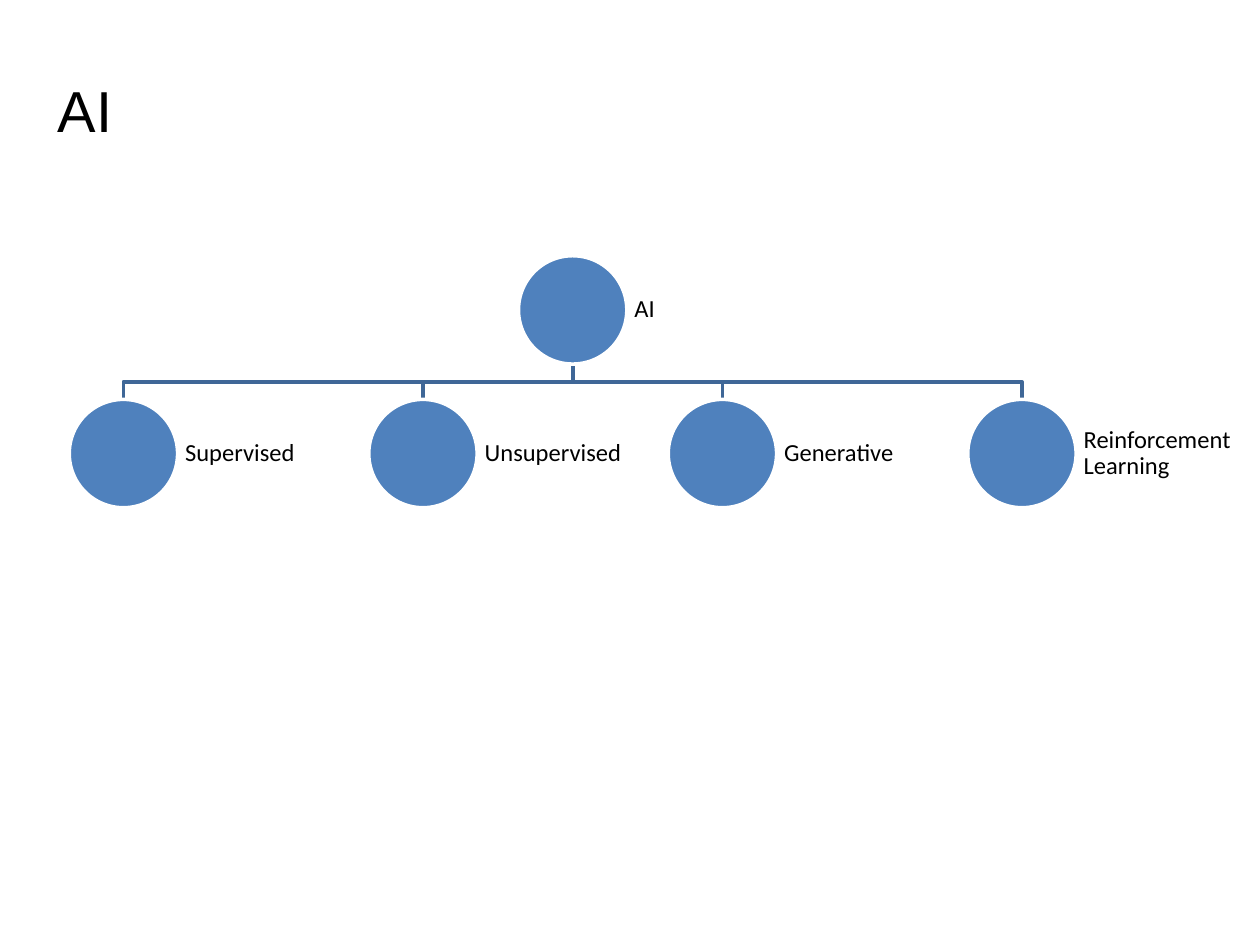
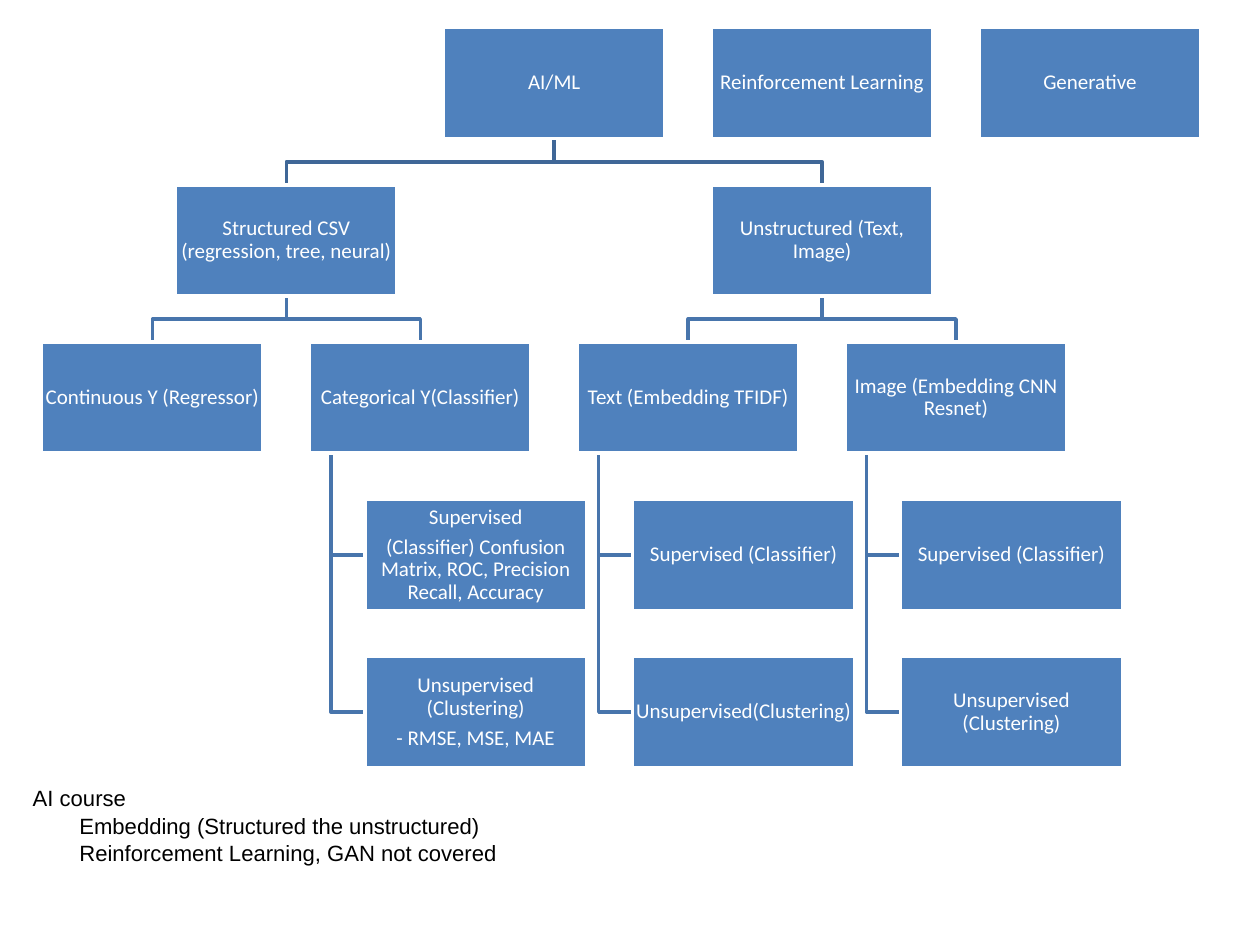
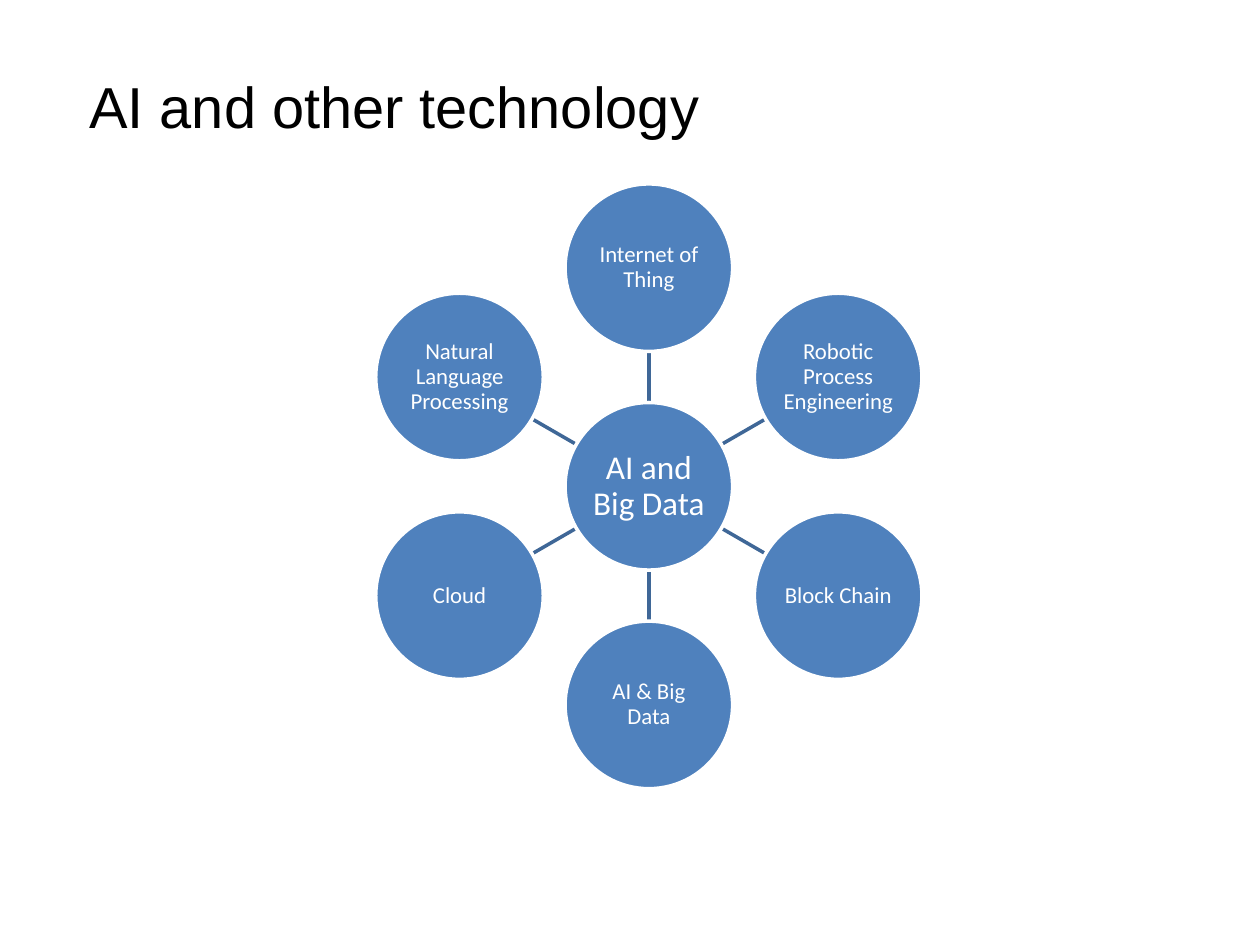
from math import cos, radians, sin

from pptx import Presentation
from pptx.dml.color import RGBColor
from pptx.enum.shapes import MSO_CONNECTOR, MSO_SHAPE
from pptx.enum.text import MSO_ANCHOR, MSO_AUTO_SIZE, PP_ALIGN
from pptx.oxml.ns import qn
from pptx.util import Inches, Pt
from lxml.etree import SubElement

BLUE = RGBColor(0x4F, 0x81, 0xBD)
DARK_LINE = RGBColor(0x3F, 0x67, 0x97)
MID_LINE = RGBColor(0x48, 0x75, 0xAC)
WHITE = RGBColor(0xFF, 0xFF, 0xFF)
BLACK = RGBColor(0, 0, 0)
TITLE_FONT, DIAGRAM_FONT = "Arial", "Calibri"
LINE_WIDTH = Pt(2)
TITLE_SIZE = 33

AI_BRANCHES = ["Supervised", "Unsupervised", "Generative", "Reinforcement Learning"]

# Each node is a label and its children; a label may hold several paragraphs.
COURSE_TREE = ("AI/ML", [
    ("Structured CSV (regression, tree, neural)", [
        ("Continuous Y (Regressor)", []),
        ("Categorical Y(Classifier)", [
            ("Supervised\n(Classifier) Confusion Matrix, ROC, Precision Recall, Accuracy", []),
            ("Unsupervised (Clustering)\n- RMSE, MSE, MAE", []),
        ]),
    ]),
    ("Unstructured (Text, Image)", [
        ("Text (Embedding TFIDF)", [
            ("Supervised (Classifier)", []),
            ("Unsupervised(Clustering)", []),
        ]),
        ("Image (Embedding CNN Resnet)", [
            ("Supervised (Classifier)", []),
            ("Unsupervised (Clustering)", []),
        ]),
    ]),
])
SEPARATE_TOPICS = ["Reinforcement Learning", "Generative"]
COURSE_NOTES = ["AI course", "Embedding (Structured the unstructured)",
                "Reinforcement Learning, GAN not covered"]

HUB = "AI and Big Data"
TECHNOLOGIES = ["Internet of Thing", "Robotic Process Engineering", "Block Chain",
                "AI & Big Data", "Cloud", "Natural Language Processing"]


def inches(*values):
    return [Inches(value) for value in values]


def style_paragraph(paragraph, font_name, size, color, align):
    paragraph.alignment = align
    paragraph.font.name = font_name
    paragraph.font.size = Pt(size)
    paragraph.font.color.rgb = color


def add_title_slide(presentation, lines, box, size=TITLE_SIZE):
    """Add a title-only slide; title lines after the first are indented."""
    slide = presentation.slides.add_slide(presentation.slide_layouts[5])
    title = slide.shapes.title
    title.left, title.top, title.width, title.height = inches(*box)
    frame = title.text_frame
    frame.text = "\n".join(lines)
    frame.auto_size = MSO_AUTO_SIZE.NONE
    frame.vertical_anchor = MSO_ANCHOR.MIDDLE
    for index, paragraph in enumerate(frame.paragraphs):
        if index:
            paragraph._p.get_or_add_pPr().set("marL", str(Inches(0.37)))
        if len(lines) > 1:
            paragraph.line_spacing = 1.05
        style_paragraph(paragraph, TITLE_FONT, size, BLACK, PP_ALIGN.LEFT)
    return slide


def write_label(shape, text, size, color=WHITE, align=PP_ALIGN.CENTER, inset=0.01):
    frame = shape.text_frame
    frame.word_wrap = True
    frame.vertical_anchor = MSO_ANCHOR.MIDDLE
    frame.margin_left = frame.margin_right = Inches(inset)
    frame.margin_top = frame.margin_bottom = Inches(inset)
    frame.text = text
    for index, paragraph in enumerate(frame.paragraphs):
        paragraph.line_spacing = 0.9
        if index:
            paragraph.space_before = Pt(size * 0.35)
        style_paragraph(paragraph, DIAGRAM_FONT, size, color, align)


def add_node(slide, kind, left, top, width, height):
    node = slide.shapes.add_shape(kind, *inches(left, top, width, height))
    node.shadow.inherit = False
    node.fill.solid()
    node.fill.fore_color.rgb = BLUE
    node.line.color.rgb = WHITE
    node.line.width = LINE_WIDTH
    return node


def add_branch(slide, points, color):
    start, *rest = [inches(*point) for point in points]
    builder = slide.shapes.build_freeform(*start)
    builder.add_line_segments(rest, close=False)
    branch = builder.convert_to_shape()
    branch.shadow.inherit = False
    branch.fill.background()
    branch.line.color.rgb = color
    branch.line.width = LINE_WIDTH


def elbow(start_x, start_y, end_x, end_y):
    middle = (start_y + end_y) / 2
    return [(start_x, start_y), (start_x, middle), (end_x, middle), (end_x, end_y)]


def add_spoke(slide, start, end):
    spoke = slide.shapes.add_connector(MSO_CONNECTOR.STRAIGHT, *inches(*start, *end))
    spoke.line.color.rgb = DARK_LINE
    spoke.line.width = LINE_WIDTH
    SubElement(spoke._element.spPr, qn("a:effectLst"))


def build_ai_slide(presentation):
    slide = add_title_slide(presentation, ["AI"], (0.36, 0.24, 9, 1.25))
    diameter, root_top, child_top = 0.86, 2.03, 3.17
    first_left, step = 0.55, 2.377
    lefts = [first_left + step * index for index in range(len(AI_BRANCHES))]
    root_left = (lefts[0] + lefts[-1]) / 2
    radius = diameter / 2
    for left in lefts:
        add_branch(slide, elbow(root_left + radius, root_top + diameter,
                                left + radius, child_top), DARK_LINE)
    nodes = [("AI", root_left, root_top)]
    nodes += [(text, left, child_top) for text, left in zip(AI_BRANCHES, lefts)]
    for text, left, top in nodes:
        add_node(slide, MSO_SHAPE.OVAL, left, top, diameter, diameter)
        label = slide.shapes.add_textbox(*inches(left + diameter, top, 1.3, diameter))
        write_label(label, text, 14, BLACK, PP_ALIGN.LEFT, 0.06)


def build_course_slide(presentation):
    slide = add_title_slide(presentation, COURSE_NOTES, (0.16, 6.18, 5.24, 0.73), 12.6)
    width, height = 1.76, 0.88
    first_left, first_top = 0.33, 0.22
    column_step, row_step = 2.126, 1.248
    trunk_inset, hanging_indent = 0.17, 0.44
    hanging_depth = 2
    boxes, branches = [], []
    columns_used = 0

    def row_top(row):
        return first_top + row * row_step

    def place(node, depth):
        """Lay out a node below its depth's row and return its left edge."""
        nonlocal columns_used
        text, children = node
        bottom = row_top(depth) + height
        if depth < hanging_depth:
            child_lefts = [place(child, depth + 1) for child in children]
            left = (child_lefts[0] + child_lefts[-1]) / 2
            color = MID_LINE if depth else DARK_LINE
            for child_left in child_lefts:
                points = elbow(left + width / 2, bottom,
                               child_left + width / 2, row_top(depth + 1))
                branches.append((points, color))
        else:
            left = first_left + columns_used * column_step
            columns_used += 1
            trunk, child_left = left + trunk_inset, left + hanging_indent
            for row, (child_text, _) in enumerate(children, depth + 1):
                middle = row_top(row) + height / 2
                points = [(trunk, bottom), (trunk, middle), (child_left, middle)]
                branches.append((points, MID_LINE))
                boxes.append((child_text, child_left, row_top(row)))
        boxes.append((text, left, row_top(depth)))
        return left

    root_left = place(COURSE_TREE, 0)
    for index, topic in enumerate(SEPARATE_TOPICS, 1):
        boxes.append((topic, root_left + index * column_step, first_top))
    for points, color in branches:
        add_branch(slide, points, color)
    for text, left, top in boxes:
        write_label(add_node(slide, MSO_SHAPE.RECTANGLE, left, top, width, height), text, 12)


def build_technology_slide(presentation):
    slide = add_title_slide(presentation, ["AI and other technology"], (0.61, 0.32, 7.51, 1.03))
    center_x, center_y = 5.15, 3.86
    diameter, ring_radius = 1.33, 1.735
    radius = diameter / 2

    def on_ring(angle, distance):
        return center_x + distance * cos(angle), center_y + distance * sin(angle)

    def add_circle(center, text, size):
        left, top = center[0] - radius, center[1] - radius
        circle = add_node(slide, MSO_SHAPE.OVAL, left, top, diameter, diameter)
        write_label(circle, text, size)

    turn = 360 / len(TECHNOLOGIES)
    angles = [radians(turn * index - 90) for index in range(len(TECHNOLOGIES))]
    for angle in angles:
        add_spoke(slide, on_ring(angle, radius), on_ring(angle, ring_radius - radius))
    add_circle((center_x, center_y), HUB, 19)
    for angle, technology in zip(angles, TECHNOLOGIES):
        add_circle(on_ring(angle, ring_radius), technology, 13)


def main():
    presentation = Presentation()
    presentation.slide_width, presentation.slide_height = inches(10, 7.5)
    build_ai_slide(presentation)
    build_course_slide(presentation)
    build_technology_slide(presentation)
    presentation.save("out.pptx")


if __name__ == "__main__":
    main()
